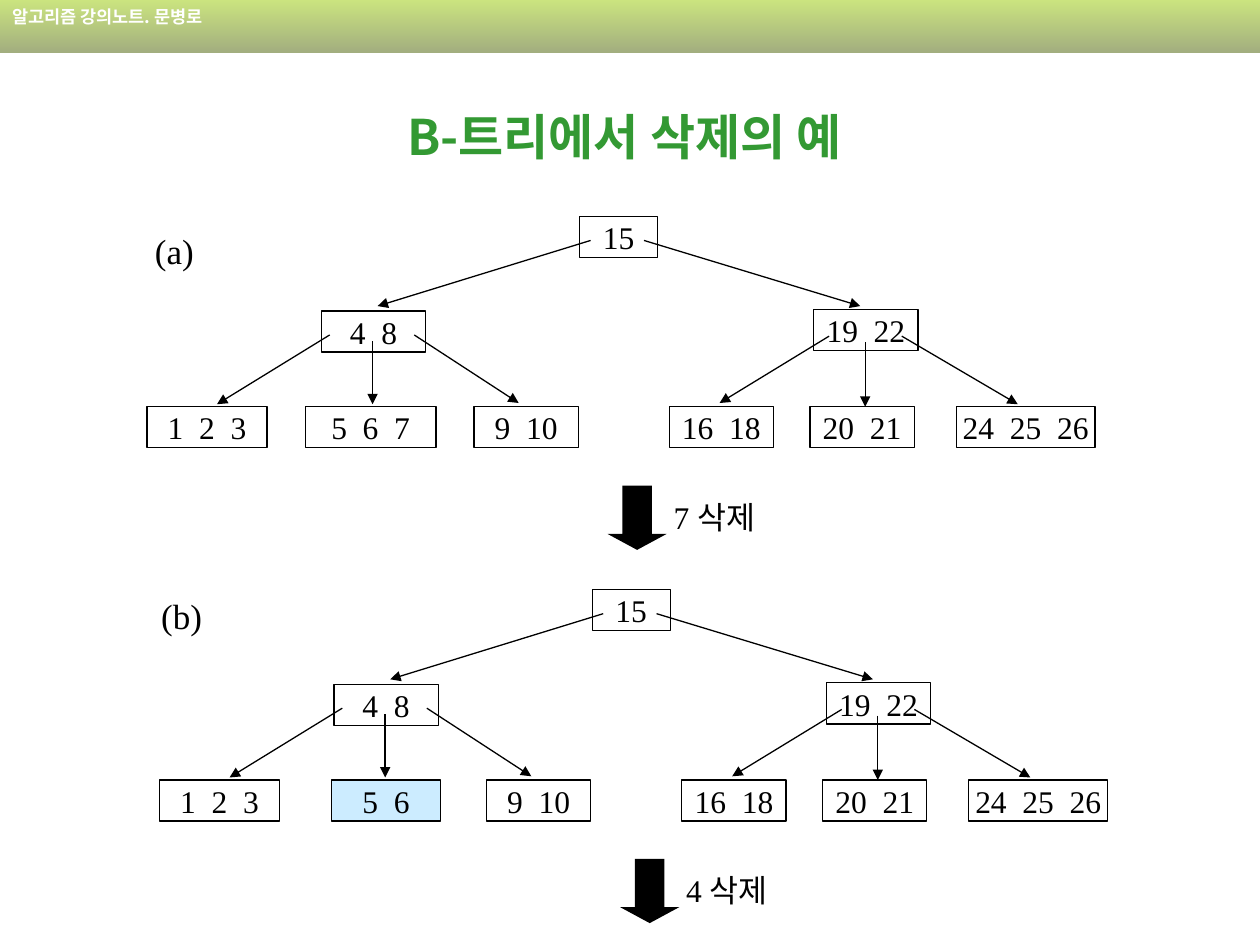
from pptx import Presentation
from pptx.dml.color import RGBColor
from pptx.enum.shapes import MSO_CONNECTOR as Connector, MSO_SHAPE as Shape
from pptx.enum.text import MSO_ANCHOR as Anchor, PP_ALIGN as Align
from pptx.oxml.ns import qn
from pptx.util import Pt
from lxml.etree import SubElement

BLACK = RGBColor(0x00, 0x00, 0x00)
WHITE = RGBColor(0xFF, 0xFF, 0xFF)
GREEN = RGBColor(0x33, 0x99, 0x33)
PALE_BLUE = RGBColor(0xCC, 0xEC, 0xFF)
LIME = RGBColor(0x99, 0xCC, 0x00)
OLIVE = RGBColor(0x47, 0x5E, 0x00)
SERIF = "Times New Roman"
KOREAN = "Noto Sans CJK KR"

NODE_HEIGHT = 23.5
# Left, top and width of each node, relative to the tree
ROOT = (247.2, 0, 44.6)
LEFT_CHILD = (99.6, 54, 59.6)
RIGHT_CHILD = (381, 53.2, 59.6)
LEAF_TOP = 108.7
# Start and end of each branch, relative to the tree
BRANCHES = [
    ((253.5, 13.7), (131.8, 51.2)),
    ((284, 13.7), (407.6, 51.2)),
    ((104.4, 67.7), (40, 107.3)),
    ((128.9, 71.3), (128.9, 107.3)),
    ((152.7, 67.7), (212.4, 106.6)),
    ((389.8, 68.4), (327.2, 106.6)),
    ((410.4, 72), (410.4, 108.7)),
    ((431.3, 68.4), (497.6, 107.3)),
]


def write(shape, *runs, size=18, color=BLACK, bold=False, align=Align.LEFT,
          anchor=Anchor.TOP, wrap=False):
    """Fill the shape with one paragraph made of (text, font name) runs."""
    frame = shape.text_frame
    frame.word_wrap = wrap
    frame.vertical_anchor = anchor
    para = frame.paragraphs[0]
    para.alignment = align
    for text, face in runs:
        span = para.add_run()
        span.text = text
        span.font.size = Pt(size)
        span.font.bold = bold
        span.font.color.rgb = color
        span.font.name = face
        SubElement(span.font._element, qn("a:ea"), typeface=face)


def add_text(page, box, *runs, **style):
    write(page.shapes.add_textbox(*map(Pt, box)), *runs, **style)


def add_plain_shape(page, kind, box):
    shape = page.shapes.add_shape(kind, *map(Pt, box))
    shape.shadow.inherit = False
    shape.line.fill.background()
    return shape


def add_header(page, box):
    band = add_plain_shape(page, Shape.RECTANGLE, box)
    band.fill.gradient()
    band.fill.gradient_angle = 270
    for stop, color in zip(band.fill.gradient_stops, (LIME, OLIVE)):
        stop.color.rgb = color
    for color in band._element.spPr.iter(qn("a:srgbClr")):
        SubElement(color, qn("a:alpha"), val="50000")
    write(band, ("알고리즘 강의노트. 문병로", KOREAN), size=10, color=WHITE,
          bold=True, wrap=True)


def add_node(page, box, keys, fill=None):
    node = add_plain_shape(page, Shape.RECTANGLE, box)
    if fill is None:
        node.fill.background()
    else:
        node.fill.solid()
        node.fill.fore_color.rgb = fill
    node.line.color.rgb = BLACK
    node.line.width = Pt(0.75)
    write(node, (keys, SERIF), align=Align.CENTER, anchor=Anchor.MIDDLE)


def add_branch(page, start, end):
    branch = page.shapes.add_connector(Connector.STRAIGHT, *map(Pt, start + end))
    branch.line.color.rgb = BLACK
    branch.line.width = Pt(0.75)
    SubElement(branch.line._get_or_add_ln(), qn("a:tailEnd"), type="triangle")
    SubElement(branch._element.spPr, qn("a:effectLst"))


def add_tree(page, left, top, second_leaf):
    """Draw the tree; second_leaf is its left, width, keys and fill."""
    second_left, second_width, second_keys, second_fill = second_leaf
    nodes = [
        (ROOT, "15", None),
        (LEFT_CHILD, "4  8", None),
        (RIGHT_CHILD, "19  22", None),
        ((0, LEAF_TOP, 68.6), "1  2  3", None),
        ((second_left, LEAF_TOP, second_width), second_keys, second_fill),
        ((186.8, LEAF_TOP, 59.6), "9  10", None),
        ((298.4, LEAF_TOP, 59.6), "16  18", None),
        ((378.8, LEAF_TOP, 59.6), "20  21", None),
        ((462.4, LEAF_TOP, 79.4), "24  25  26", None),
    ]
    for (x, y, width), keys, fill in nodes:
        add_node(page, (left + x, top + y, width, NODE_HEIGHT), keys, fill)
    for (x1, y1), (x2, y2) in BRANCHES:
        add_branch(page, (left + x1, top + y1), (left + x2, top + y2))


def add_deletion(page, left, top, key):
    arrow = add_plain_shape(page, Shape.DOWN_ARROW, (left, top, 33.8, 36.7))
    arrow.adjustments[0] = 0.5
    arrow.adjustments[1] = 0.27
    arrow.fill.solid()
    arrow.fill.fore_color.rgb = BLACK
    add_text(page, (left + 30.6, top + 3.4, 65.5, 28.8),
             (f"{key} ", SERIF), ("삭제", KOREAN))


def add_step(page, left, top, second_leaf, deleted_key):
    add_tree(page, left, top, second_leaf)
    add_deletion(page, left + 263.2, top + 153.8, deleted_key)


def add_step_label(page, left, top, label):
    add_text(page, (left, top, 48, 31.7), (label, SERIF), size=20)


def main():
    deck = Presentation()
    deck.slide_width, deck.slide_height = Pt(720), Pt(540)
    page = deck.slides.add_slide(deck.slide_layouts[6])
    add_header(page, (0, 0, 720, 30.2))
    add_text(page, (54, 32.4, 612, 90), ("B-트리에서 삭제의 예 ", KOREAN),
             size=28, color=GREEN, bold=True, align=Align.CENTER,
             anchor=Anchor.MIDDLE, wrap=True)
    add_step(page, 84, 123.7, (90.4, 74.8, "5  6  7", None), 7)
    add_step(page, 91.2, 337, (98.4, 62, "5  6", PALE_BLUE), 4)
    add_step_label(page, 81.4, 127.4, "(a)")
    add_step_label(page, 85, 336.2, "(b)")
    deck.save("out.pptx")


if __name__ == "__main__":
    main()
